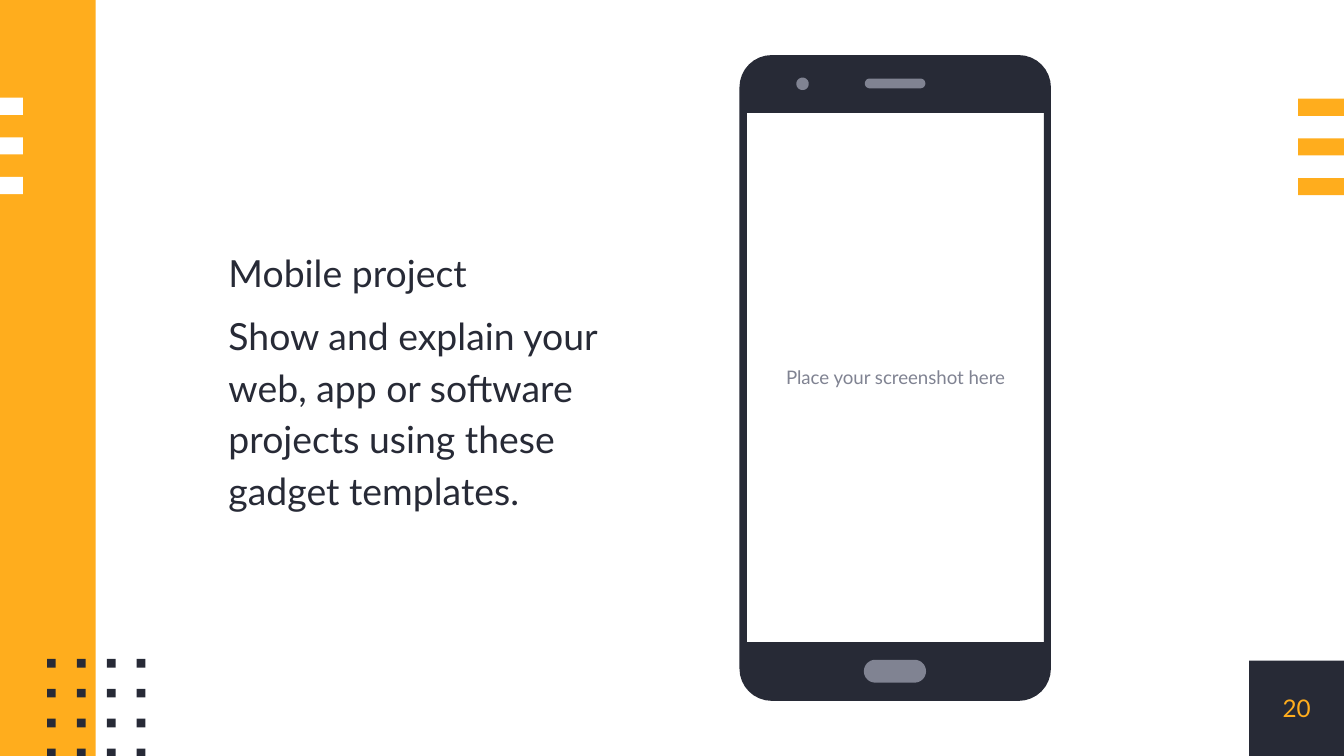
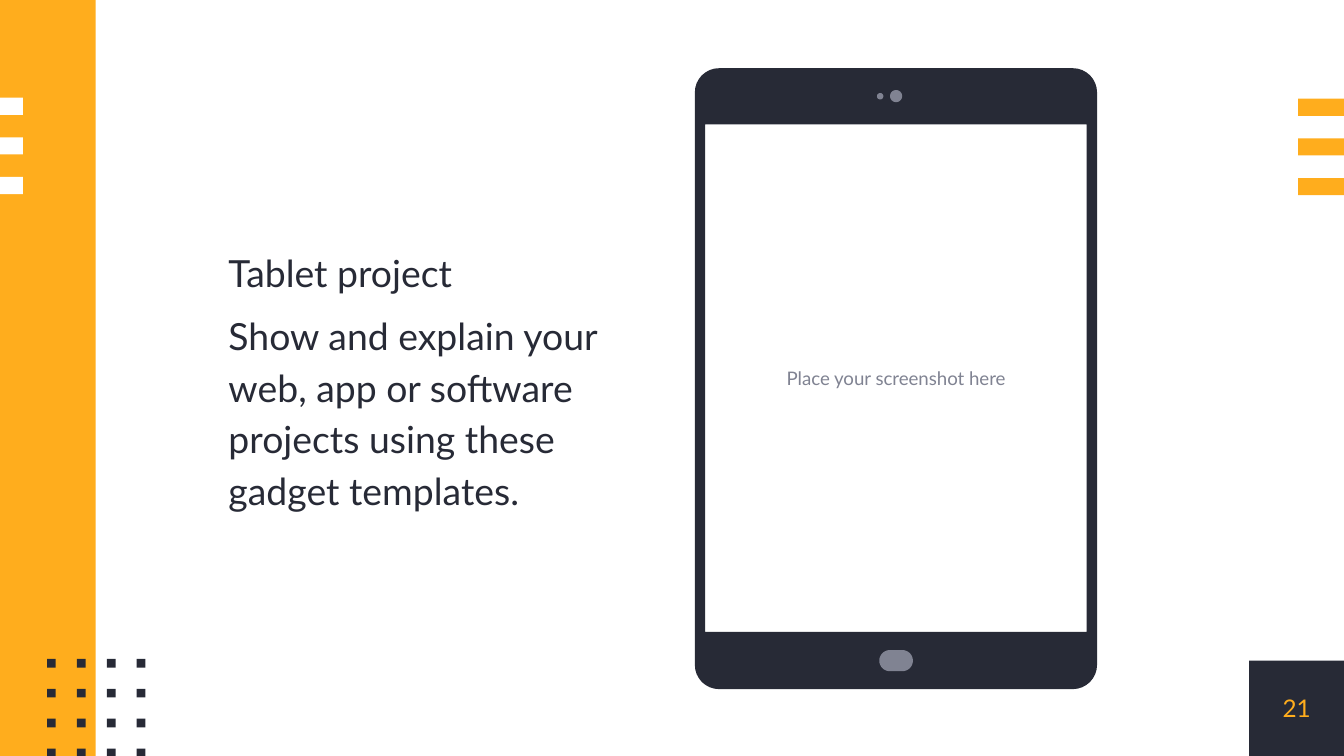
from dataclasses import dataclass
from itertools import product
from math import cos, pi, sin

from pptx import Presentation
from pptx.dml.color import RGBColor
from pptx.enum.shapes import MSO_SHAPE
from pptx.enum.text import MSO_ANCHOR, PP_ALIGN
from pptx.util import Inches, Pt

COLUMNS, ROWS = 400, 225
SLIDE_WIDTH, SLIDE_HEIGHT = Inches(10), Inches(5.625)
FONT = "Lato"
INK, AMBER, GREY, WHITE = "272A36", "FFAD1D", "808392", "FFFFFF"
ARC_STEPS = 8
PITCH_TEXT = "Show and explain your web, app or software projects using these gadget templates."
PROMPT = "Place your screenshot here"


@dataclass(frozen=True)
class Box:
    left: float
    top: float
    width: float
    height: float


@dataclass(frozen=True)
class Pattern:
    first: Box
    columns: int
    rows: int
    pitch: float
    color: str


@dataclass(frozen=True)
class TextStyle:
    size: float
    color: str
    align: PP_ALIGN = PP_ALIGN.CENTER
    line_spacing: float = 1.0
    space_before: float = 0
    margin: float = 0


@dataclass(frozen=True)
class Device:
    heading: str
    page: int
    body: Box
    radius: float
    screen: Box
    details: tuple[Box, ...]


BAND = Box(0, 0, 28.5, ROWS)
PAGE_BOX = Box(371.8, 196.6, 28.2, 28.4)
PITCH_BOX = Box(68, 16.4, 124.4, 192.4)
PATTERNS = (
    Pattern(Box(0, 29.1, 6.8, 5.1), 1, 3, 11.8, WHITE),
    Pattern(Box(14, 196.1, 2.6, 2.6), 4, 4, 8.9, INK),
    Pattern(Box(386.4, 29.4, 13.6, 5.1), 1, 3, 11.8, AMBER),
)

PITCH_STYLE = TextStyle(20, INK, PP_ALIGN.LEFT, line_spacing=1.15, space_before=6)
PROMPT_STYLE = TextStyle(10, GREY, margin=4)
PAGE_STYLE = TextStyle(13, AMBER)

DEVICES = (
    Device(
        "Mobile project", 20, Box(220.1, 16.4, 92.7, 192.2), 9.6,
        Box(222.3, 33.6, 88.4, 157.5),
        (
            Box(257.1, 196.4, 18.5, 6.8),
            Box(237, 23.1, 3.7, 3.7),
            Box(257.4, 23.4, 18, 2.9),
        ),
    ),
    Device(
        "Tablet project", 21, Box(206.8, 20.3, 119.7, 184.8), 7.2,
        Box(209.9, 37, 113.5, 151.1),
        (
            Box(261.7, 193.5, 10, 6.3),
            Box(261, 27.7, 1.9, 1.9),
            Box(264.9, 26.8, 3.6, 3.6),
        ),
    ),
)


def across(columns: float) -> int:
    return round(SLIDE_WIDTH * columns / COLUMNS)


def down(rows: float) -> int:
    return round(SLIDE_HEIGHT * rows / ROWS)


def place(box: Box) -> tuple[int, int, int, int]:
    return across(box.left), down(box.top), across(box.width), down(box.height)


def rgb(color: str) -> RGBColor:
    return RGBColor.from_string(color)


def paint(shape, color: str) -> None:
    shape.shadow.inherit = False
    shape.fill.solid()
    shape.fill.fore_color.rgb = rgb(color)
    shape.line.fill.background()


def add_block(slide, box: Box, color: str) -> None:
    paint(slide.shapes.add_shape(MSO_SHAPE.RECTANGLE, *place(box)), color)


def add_pattern(slide, pattern: Pattern) -> None:
    first = pattern.first
    for row, column in product(range(pattern.rows), range(pattern.columns)):
        left = first.left + column * pattern.pitch
        top = first.top + row * pattern.pitch
        add_block(slide, Box(left, top, first.width, first.height), pattern.color)


def add_text(slide, box: Box, lines: tuple[str, ...], style: TextStyle) -> None:
    frame = slide.shapes.add_textbox(*place(box)).text_frame
    frame.word_wrap = True
    frame.vertical_anchor = MSO_ANCHOR.MIDDLE
    frame.margin_left = frame.margin_right = across(style.margin)
    frame.margin_top = frame.margin_bottom = down(style.margin)
    frame.text = "\n".join(lines)
    for paragraph in frame.paragraphs:
        paragraph.alignment = style.align
        paragraph.line_spacing = style.line_spacing
        paragraph.space_before = Pt(style.space_before)
        paragraph.font.name = FONT
        paragraph.font.size = Pt(style.size)
        paragraph.font.color.rgb = rgb(style.color)


def rounded_points(box: Box, radius: float) -> list[tuple[int, int]]:
    near_x, far_x = box.left + radius, box.left + box.width - radius
    near_y, far_y = box.top + radius, box.top + box.height - radius
    centres = ((far_x, far_y), (near_x, far_y), (near_x, near_y), (far_x, near_y))
    points = []
    for quarter, (x, y) in enumerate(centres):
        for step in range(ARC_STEPS + 1):
            angle = (quarter + step / ARC_STEPS) * pi / 2
            points.append((across(x + radius * cos(angle)), down(y + radius * sin(angle))))
    return points


def hole_points(box: Box) -> list[tuple[int, int]]:
    left, top, width, height = place(box)
    return [
        (left, top),
        (left, top + height),
        (left + width, top + height),
        (left + width, top),
    ]


def add_rounded(slide, box: Box, radius: float, color: str, hole: Box | None = None) -> None:
    outline = rounded_points(box, radius)
    builder = slide.shapes.build_freeform(*outline[0])
    builder.add_line_segments(outline[1:])
    if hole:
        opening = hole_points(hole)
        builder.move_to(*opening[0])
        builder.add_line_segments(opening[1:])
    paint(builder.convert_to_shape(), color)


def add_furniture(slide, page: int) -> None:
    add_block(slide, PAGE_BOX, INK)
    add_block(slide, BAND, AMBER)
    for pattern in PATTERNS:
        add_pattern(slide, pattern)
    add_text(slide, PAGE_BOX, (str(page),), PAGE_STYLE)


def add_device_slide(deck, device: Device) -> None:
    slide = deck.slides.add_slide(deck.slide_layouts[6])
    add_furniture(slide, device.page)
    add_text(slide, PITCH_BOX, (device.heading, PITCH_TEXT), PITCH_STYLE)
    add_text(slide, device.screen, (PROMPT,), PROMPT_STYLE)
    add_rounded(slide, device.body, device.radius, INK, device.screen)
    for detail in device.details:
        add_rounded(slide, detail, min(detail.width, detail.height) / 2, GREY)


def main() -> None:
    deck = Presentation()
    deck.slide_width, deck.slide_height = SLIDE_WIDTH, SLIDE_HEIGHT
    for device in DEVICES:
        add_device_slide(deck, device)
    deck.save("out.pptx")


if __name__ == "__main__":
    main()
